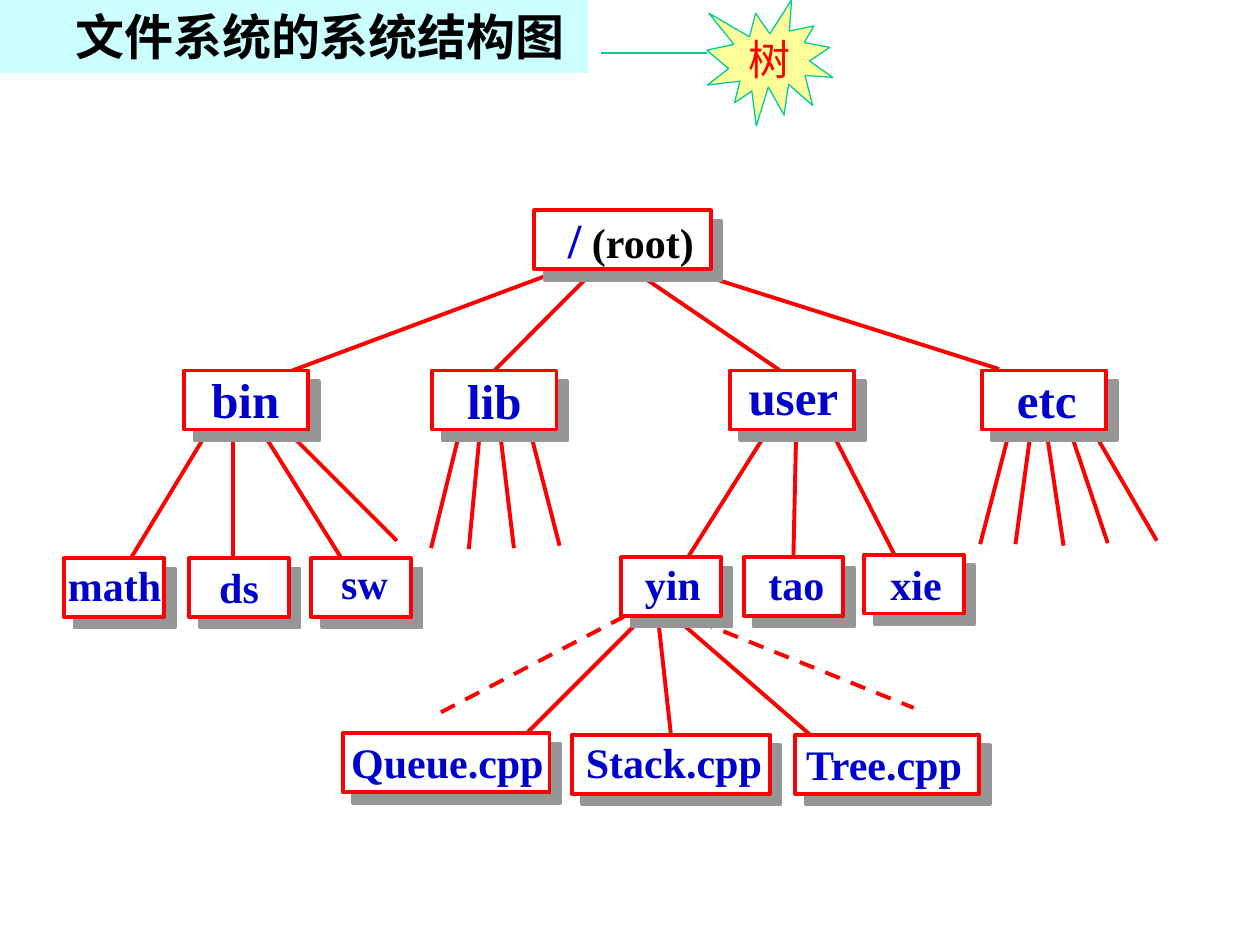
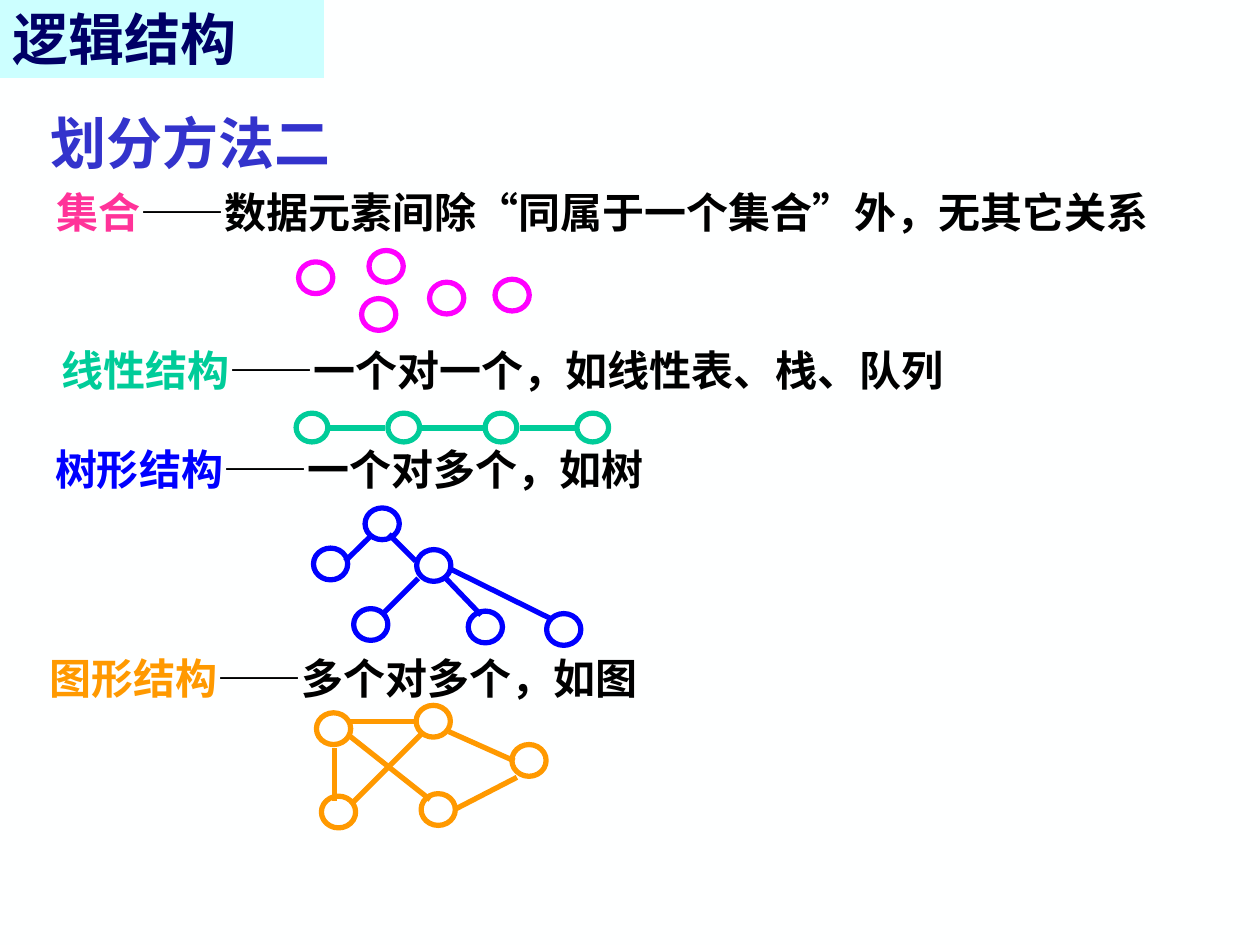
from dataclasses import dataclass
from lxml.etree import SubElement
from pptx import Presentation
from pptx.dml.color import RGBColor
from pptx.enum.dml import MSO_LINE
from pptx.enum.shapes import MSO_CONNECTOR, MSO_SHAPE
from pptx.enum.text import MSO_ANCHOR, MSO_AUTO_SIZE, PP_ALIGN
from pptx.oxml.ns import qn
from pptx.util import Cm, Pt


@dataclass(frozen=True)
class Theme:
    serif: str = "Times New Roman"
    sans: str = "Noto Sans CJK SC"
    paper: str = "FEFFFF"
    band: str = "CCFFFF"
    black: str = "000000"
    navy: str = "000066"
    indigo: str = "3333CC"
    label: str = "0000CC"
    red: str = "FF0000"
    shadow: str = "969696"
    star: str = "FFFF99"
    pink: str = "FF3399"
    magenta: str = "FF00FF"
    green: str = "00CC99"
    blue: str = "0000FF"
    orange: str = "FF9900"
    large: int = 32
    medium: int = 28
    small: int = 24
    hairline: float = 0.75
    branch: float = 2.25
    ring: float = 3


T = Theme()


# ---- shared helpers ----
def rgb(color):
    return RGBColor.from_string(color)


def write(sp, *runs, size=T.small, font=T.sans, bold=True, align=PP_ALIGN.LEFT,
          anchor=MSO_ANCHOR.TOP, wrap=False):
    """Fill a shape with one paragraph; a run is (text, color) or (text, color, size)."""
    tf = sp.text_frame
    tf.word_wrap, tf.vertical_anchor = wrap, anchor
    p = tf.paragraphs[0]
    p.alignment = align
    for text, color, *own_size in runs:
        r = p.add_run()
        r.text = text
        r.font.name, r.font.bold = font, bold
        r.font.size = Pt(own_size[0] if own_size else size)
        r.font.color.rgb = rgb(color)
        SubElement(r.font._element, qn("a:ea"), typeface=T.sans)
    return p


def text_box(s, x, y, w, h, *runs, **fmt):
    sp = s.shapes.add_textbox(Cm(x), Cm(y), Cm(w), Cm(h))
    write(sp, *runs, **fmt)
    sp.text_frame.auto_size = MSO_AUTO_SIZE.SHAPE_TO_FIT_TEXT


def shape(shapes, kind, x, y, w, h, fill=None, line=None, width=T.ring):
    sp = shapes.add_shape(kind, Cm(x), Cm(y), Cm(w), Cm(h))
    sp.shadow.inherit = False
    if fill:
        sp.fill.solid()
        sp.fill.fore_color.rgb = rgb(fill)
    else:
        sp.fill.background()
    if line:
        sp.line.color.rgb = rgb(line)
        sp.line.width = Pt(width)
    else:
        sp.line.fill.background()
    return sp


def straight(shapes, x1, y1, x2, y2, color, width, dash=False):
    ln = shapes.add_connector(MSO_CONNECTOR.STRAIGHT, Cm(x1), Cm(y1), Cm(x2), Cm(y2))
    ln.line.color.rgb = rgb(color)
    ln.line.width = Pt(width)
    if dash:
        ln.line.dash_style = MSO_LINE.DASH
    SubElement(ln.element.spPr, qn("a:effectLst"))
    return ln


def new_slide(prs):
    s = prs.slides.add_slide(prs.slide_layouts[6])
    s.background.fill.solid()
    s.background.fill.fore_color.rgb = rgb(T.paper)
    return s


def title_band(s, w, h, text, color, **fmt):
    sp = shape(s.shapes, MSO_SHAPE.RECTANGLE, 0, 0, w, h, fill=T.band)
    return write(sp, (text, color), wrap=True, **fmt)


# ---- directory tree: all places relative to the tree's corner ----
ROW_H = 1.19
# name: (x, y, width), (label dx, label dy, label width)
LEVEL_1 = {
    "bin": ((2.41, 3.23, 2.51), (0.3, -0.15, 1.88)),
    "lib": ((7.41, 3.23, 2.51), (0.46, -0.13, 1.6)),
    "user": ((13.41, 3.23, 2.51), (0.13, -0.2, 2.31)),
    "etc": ((18.49, 3.23, 2.51), (0.46, -0.15, 1.73)),
}
LOWER_LEVELS = {
    "math": ((0, 7.01, 2.01), (-0.18, -0.1, 2.39)),
    "ds": ((2.51, 7.01, 2.01), (0.36, -0.05, 1.32)),
    "sw": ((4.97, 7.01, 2.01), (0.36, -0.13, 1.45)),
    "yin": ((11.22, 6.99, 2.01), (0.23, -0.1, 1.65)),
    "tao": ((13.69, 6.99, 2.01), (0.25, -0.1, 1.65)),
    "xie": ((16.12, 6.94, 2.01), (0.28, -0.05, 1.55)),
    "Queue.cpp": ((5.61, 10.54, 4.17), (-0.08, -0.05, 4.39)),
    "Stack.cpp": ((10.23, 10.57, 3.99), (0.03, -0.08, 4.06)),
    "Tree.cpp": ((14.73, 10.57, 3.71), (-0.03, -0.05, 3.73)),
}
BRANCHES = [
    # below root
    (10.03, 1.2, 4.59, 3.23), (11.48, 1.22, 14.5, 3.28), (12.59, 1.22, 18.84, 3.2),
    # below bin
    (2.89, 4.45, 1.34, 7.01), (3.4, 4.45, 3.4, 7.01),
    (3.98, 4.45, 5.58, 7.01), (4.49, 4.45, 6.7, 6.66),
    # below lib
    (7.97, 4.45, 7.39, 6.81), (8.38, 4.4, 8.15, 6.83),
    (8.78, 4.47, 9.06, 6.81), (9.39, 4.47, 9.98, 6.76),
    # below user
    (14.22, 4.37, 12.57, 6.99), (15.46, 4.45, 16.73, 6.94),
    # below etc
    (19.05, 4.45, 18.46, 6.73), (19.48, 4.45, 19.17, 6.73), (19.81, 4.55, 20.14, 6.76),
    (20.29, 4.5, 21.03, 6.71), (20.75, 4.47, 22.02, 6.66),
    # below yin
    (11.7, 8.16, 9.34, 10.52), (12.31, 8.21, 15.03, 10.57),
]
DASHED = [(11.3, 8.18, 7.51, 10.16), (12.77, 8.28, 17.12, 10.03)]
# child joined at its top: start of the branch
JOINED = {"lib": (10.69, 1.2), "tao": (14.75, 4.45), "Stack.cpp": (11.96, 8.18)}


def node(s, left, top, box, label, *runs, size=T.small):
    (x, y, w), (dx, dy, label_w) = box, label
    x, y = left + x, top + y
    sp = shape(s.shapes, MSO_SHAPE.RECTANGLE, x, y, w, ROW_H, T.paper, T.red, T.branch)
    effects = sp.element.spPr.find(qn("a:effectLst"))
    sh = SubElement(effects, qn("a:outerShdw"), dist=str(Pt(8.5)), dir="2700000",
                    algn="ctr", rotWithShape="0")
    SubElement(sh, qn("a:srgbClr"), val=T.shadow)
    text_box(s, x + dx, y + dy, label_w, 1.45 if size == T.medium else 1.27,
             *runs, size=size, font=T.serif)
    return sp


def directory_tree(s, left, top):
    nodes = {}
    node(s, left, top, (9.47, 0, 3.56), (0.43, -0.15, 3.07),
         ("/", T.label), (" (root)", T.black, T.small), size=T.medium)
    for level, size in ((LEVEL_1, T.medium), (LOWER_LEVELS, T.small)):
        for name, (box, label) in level.items():
            nodes[name] = node(s, left, top, box, label, (name, T.label), size=size)

    def branch(x1, y1, x2, y2, dash=False):
        ln = straight(s.shapes, left + x1, top + y1, left + x2, top + y2,
                      T.red, T.branch, dash)
        s.shapes.element.insert(2, ln.element)  # behind the nodes
        return ln

    for ends in BRANCHES:
        branch(*ends)
    for ends in DASHED:
        branch(*ends, dash=True)
    for name, start in JOINED.items():
        branch(*start, *start).end_connect(nodes[name], 0)


def star_callout(s, left, top):
    shapes = s.shapes.add_group_shape().shapes
    star = shape(shapes, MSO_SHAPE.EXPLOSION1, left + 2.13, top, 2.54, 2.54,
                 T.star, T.green, T.hairline)
    write(star, ("树", T.red), font=T.serif, bold=False,
          align=PP_ALIGN.CENTER, anchor=MSO_ANCHOR.MIDDLE)
    straight(shapes, left, top + 1.07, left + 2.13, top + 1.07, T.green, T.hairline)


def file_system_slide(prs):
    s = new_slide(prs)
    directory_tree(s, 1.3, 4.24)
    p = title_band(s, 11.86, 1.47, "文件系统的系统结构图", T.black,
                   size=T.medium, font=T.serif)
    pPr = p._p.get_or_add_pPr()
    pPr.set("marL", str(Cm(2.06)))
    pPr.set("indent", str(Cm(-0.79)))
    star_callout(s, 12.12, 0)


# ---- ring diagrams: corner, ring size, rings and links relative to the corner ----
RING = (0.69, 0.64)
DIAGRAMS = [
    # set
    (T.magenta, (6.02, 5.05), RING,
     [(0, 0.23), (1.42, 0), (1.27, 0.97), (2.64, 0.64), (3.96, 0.58)], []),
    # linear
    (T.green, (5.97, 8.33), (0.64, 0.58),
     [(0, 0), (1.85, 0), (3.81, 0), (5.66, 0)],
     [(0.64, 0.3, 1.8, 0.3), (2.46, 0.3, 3.84, 0.3), (4.52, 0.3, 5.64, 0.3)]),
    # tree
    (T.blue, (6.32, 10.24), RING,
     [(1.04, 0), (0, 0.81), (2.08, 0.84), (0.81, 2.03), (3.12, 2.08), (4.7, 2.13)],
     [(1.14, 0.58, 0.64, 1.07), (2.11, 1.42, 1.37, 2.16), (1.52, 0.53, 2.06, 1.07),
      (2.62, 1.37, 3.38, 2.16), (2.74, 1.22, 4.8, 2.24)]),
    # graph
    (T.orange, (6.38, 14.22), RING,
     [(2.01, 0), (0.1, 1.83), (2.11, 1.78), (3.94, 0.79), (0, 0.15)],
     [(0.36, 0.86, 0.36, 1.93), (0.66, 0.61, 2.29, 1.9), (2.67, 0.53, 3.99, 1.12),
      (2.13, 0.56, 0.71, 1.98), (4.04, 1.45, 2.82, 2.08), (0.66, 0.33, 2.03, 0.33)]),
]
# x, y, width, term, color, explanation
DEFINITIONS = [
    (0.99, 6.83, 18.29, "线性结构", T.green, "——一个对一个，如线性表、栈、队列"),
    (0.86, 8.81, 12.37, "树形结构", T.blue, "——一个对多个，如树"),
    (0.89, 3.63, 22.73, "集合", T.pink, "——数据元素间除“同属于一个集合”外，无其它关系"),
    (0.74, 13.03, 12.37, "图形结构", T.orange, "——多个对多个，如图"),
]


def ring_diagram(s, color, corner, ring, rings, links):
    left, top = corner
    shapes = s.shapes.add_group_shape().shapes
    for x, y in rings:
        shape(shapes, MSO_SHAPE.OVAL, left + x, top + y, *ring, line=color)
    for x1, y1, x2, y2 in links:
        straight(shapes, left + x1, top + y1, left + x2, top + y2, color, T.ring)


def logical_structure_slide(prs):
    s = new_slide(prs)
    for diagram in DIAGRAMS:
        ring_diagram(s, *diagram)
    for x, y, w, term, color, meaning in DEFINITIONS:
        text_box(s, x, y, w, 1.27, (term, color), (meaning, T.black))
    title_band(s, 6.53, 1.57, "逻辑结构", T.navy, size=T.large, anchor=MSO_ANCHOR.BOTTOM)
    text_box(s, 0.76, 2.06, 6.17, 1.6, ("划分方法二", T.indigo), size=T.large)


def main():
    prs = Presentation()
    prs.slide_width, prs.slide_height = Cm(25.4), Cm(19.05)
    file_system_slide(prs)
    logical_structure_slide(prs)
    prs.save("out.pptx")


if __name__ == "__main__":
    main()
